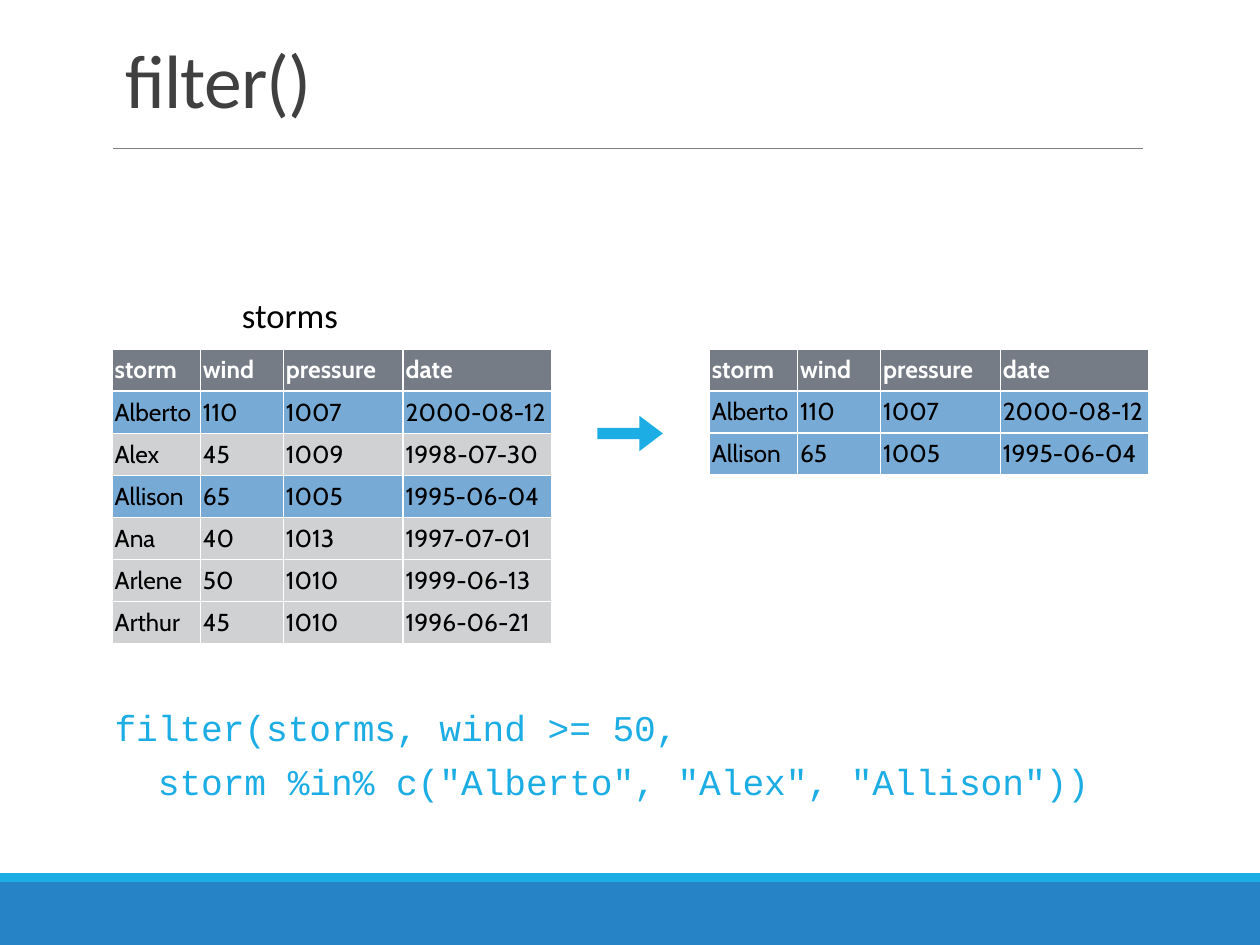
from lxml.etree import SubElement
from pptx import Presentation
from pptx.dml.color import RGBColor
from pptx.enum.shapes import MSO_CONNECTOR, MSO_SHAPE
from pptx.enum.text import MSO_ANCHOR, PP_ALIGN
from pptx.oxml.ns import qn
from pptx.util import Inches, Pt

COLORS = {
    "blue": "2683C6", "cyan": "1CADE4", "rule": "808080", "title": "404040",
    "header": "767C85", "kept": "78AAD6", "dropped": "D0D1D2",
    "white": "FFFFFF", "black": "000000",
}
HEADER = ("storm", "wind", "pressure", "date")
STORMS = [
    ("Alberto", "110", "1007", "2000-08-12"),
    ("Alex", "45", "1009", "1998-07-30"),
    ("Allison", "65", "1005", "1995-06-04"),
    ("Ana", "40", "1013", "1997-07-01"),
    ("Arlene", "50", "1010", "1999-06-13"),
    ("Arthur", "45", "1010", "1996-06-21"),
]
COLUMN_WIDTHS = (0.7, 0.66, 0.95, 1.18)
CODE = ("filter(storms, wind >= 50,",
        '  storm %in% c("Alberto", "Alex", "Allison"))')


def color(name):
    return RGBColor.from_string(COLORS[name])


def is_kept(row):
    """Apply the filter that the code on the slide states."""
    return int(row[1]) >= 50 and row[0] in ("Alberto", "Alex", "Allison")


def style_font(font, name, size, color_name, bold=False):
    font.name, font.size, font.bold = name, Pt(size), bold
    font.color.rgb = color(color_name)


def add_block(page, kind, left, top, width, height, fill):
    block = page.shapes.add_shape(
        kind, Inches(left), Inches(top), Inches(width), Inches(height))
    block.shadow.inherit = False
    block.fill.solid()
    block.fill.fore_color.rgb = color(fill)
    block.line.fill.background()
    return block


def add_text(page, left, top, width, height, lines, font, inset=0.03,
             anchor=MSO_ANCHOR.TOP):
    box = page.shapes.add_textbox(
        Inches(left), Inches(top), Inches(width), Inches(height))
    frame = box.text_frame
    frame.word_wrap = True
    frame.vertical_anchor = anchor
    frame.margin_left = frame.margin_right = Inches(inset)
    frame.margin_top = frame.margin_bottom = Inches(inset)
    frame.text = "\n".join(lines)
    for para in frame.paragraphs:
        for span in para.runs:
            style_font(span.font, *font)
    return frame


def add_footer(page, top, width):
    add_block(page, MSO_SHAPE.RECTANGLE, 0, top + 0.07, width, 0.5, "blue")
    add_block(page, MSO_SHAPE.RECTANGLE, 0, top, width, 0.07, "cyan")


def add_title(page, left, top, width, height):
    rule_y = Inches(top + height + 0.15)
    rule = page.shapes.add_connector(
        MSO_CONNECTOR.STRAIGHT, Inches(left), rule_y, Inches(9.07), rule_y)
    rule.line.color.rgb = color("rule")
    rule.line.width = Pt(0.5)
    SubElement(rule._element.spPr, qn("a:effectLst"))
    frame = add_text(page, left, top, width, height, ["filter()"],
                     ("Calibri", 43.2, "title"), 0.1, MSO_ANCHOR.BOTTOM)
    frame.margin_bottom = Inches(0.05)
    para = frame.paragraphs[0]
    para.line_spacing = 0.85
    para.runs[0].font._element.set("spc", "-50")


def add_cell_borders(cell):
    """Draw white lines on all sides; they go before the fill."""
    props = cell._tc.get_or_add_tcPr()
    for index, side in enumerate(("lnL", "lnR", "lnT", "lnB")):
        line = SubElement(props, qn(f"a:{side}"), w=str(Pt(1)))
        fill = SubElement(line, qn("a:solidFill"))
        SubElement(fill, qn("a:srgbClr"), val=COLORS["white"])
        props.insert(index, line)


def fill_cell(cell, text, fill, is_header):
    add_cell_borders(cell)
    cell.fill.solid()
    cell.fill.fore_color.rgb = color(fill)
    cell.vertical_anchor = MSO_ANCHOR.MIDDLE
    cell.margin_left = cell.margin_right = Inches(0.02)
    cell.margin_top = cell.margin_bottom = Inches(0.02)
    cell.text_frame.text = text
    para = cell.text_frame.paragraphs[0]
    para.alignment = PP_ALIGN.LEFT
    style_font(para.runs[0].font, "Cabin", 14,
               "white" if is_header else "black", is_header)


def add_storm_table(page, left, top, height, storms):
    rows = [HEADER, *storms]
    table = page.shapes.add_table(
        len(rows), len(HEADER), Inches(left), Inches(top),
        Inches(sum(COLUMN_WIDTHS)), Inches(height)).table
    table.horz_banding = False
    for column, width in zip(table.columns, COLUMN_WIDTHS):
        column.width = Inches(width)
    for r, row in enumerate(rows):
        is_header = r == 0
        if is_header:
            fill = "header"
        else:
            fill = "kept" if is_kept(row) else "dropped"
        for c, text in enumerate(row):
            fill_cell(table.cell(r, c), text, fill, is_header)


def add_code(page, left, top, width, height):
    frame = add_text(page, left, top, width, height, CODE,
                     ("Courier New", 20.7, "cyan"))
    frame.margin_top = Inches(0.09)
    frame.paragraphs[1].space_before = Pt(5.7)


def main():
    deck = Presentation()
    deck.slide_width, deck.slide_height = Inches(10), Inches(7.5)
    page = deck.slides.add_slide(deck.slide_layouts[6])
    add_footer(page, 6.93, 10)
    add_title(page, 0.9, 0.31, 8.25, 0.72)
    add_storm_table(page, 5.63, 2.77, 1, filter(is_kept, STORMS))
    add_storm_table(page, 0.89, 2.77, 2.34, STORMS)
    arrow = add_block(page, MSO_SHAPE.RIGHT_ARROW, 4.74, 3.3, 0.52, 0.28, "cyan")
    arrow.adjustments[0], arrow.adjustments[1] = 0.32, 0.66
    label = add_text(page, 1.89, 2.33, 0.96, 0.37, ["storms"],
                     ("Calibri", 19.8, "black"), anchor=MSO_ANCHOR.MIDDLE)
    label.paragraphs[0].line_spacing = 0.9
    add_code(page, 0.88, 5.51, 8.24, 0.87)
    deck.save("out.pptx")


if __name__ == "__main__":
    main()
